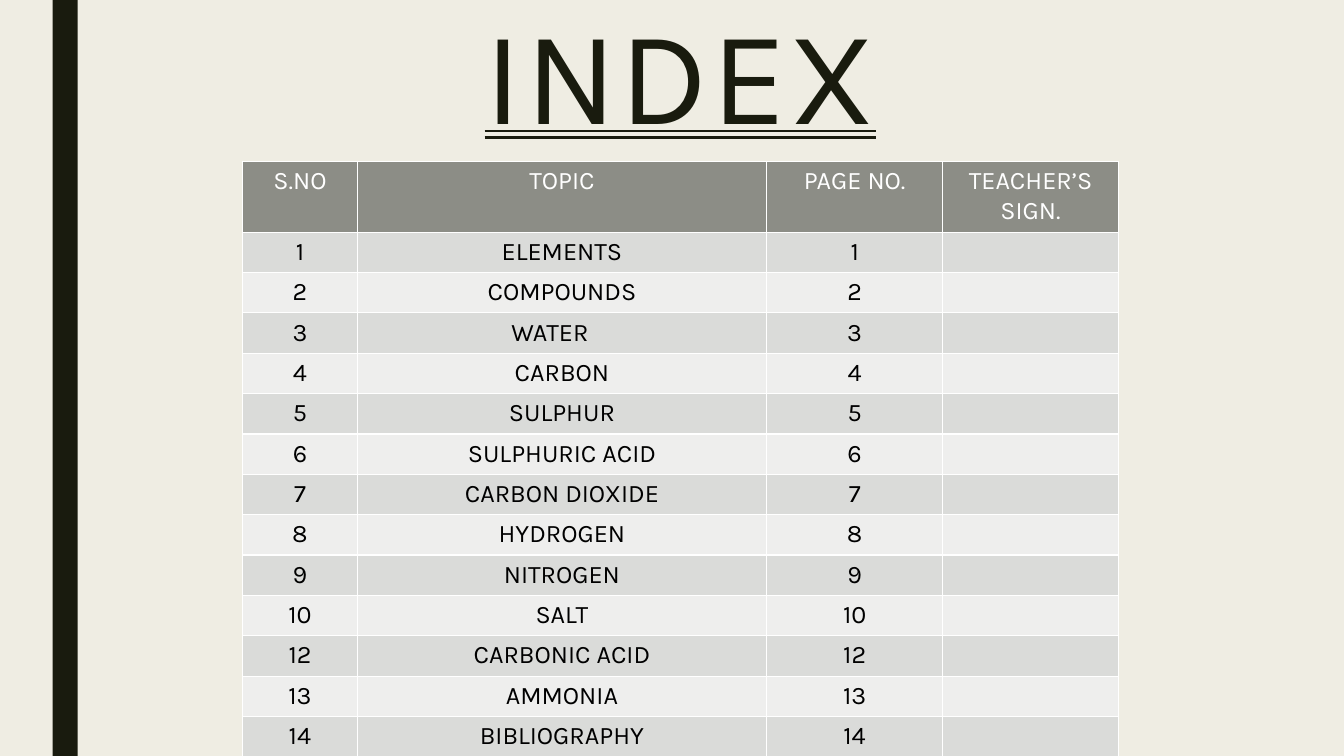
from dataclasses import dataclass

from lxml.etree import SubElement
from pptx import Presentation
from pptx.dml.color import RGBColor
from pptx.enum.shapes import MSO_SHAPE as Shape
from pptx.enum.text import MSO_ANCHOR as Anchor, MSO_UNDERLINE as Underline, PP_ALIGN as Align
from pptx.oxml.ns import qn
from pptx.util import Pt

COLOURS = {
    "paper": "EFEDE3", "ink": "191B0E", "header": "8C8D86", "odd": "DADBD9",
    "even": "EEEEED", "white": "FFFFFF", "black": "000000",
}
FONT = "Karla"


@dataclass
class Entry:
    number: str
    topic: str
    indent: float = 0  # above zero: topic is set left at this distance


HEADINGS = ["S.NO", "TOPIC", "PAGE NO.", "TEACHER’S SIGN."]
ENTRIES = [
    Entry("1", "ELEMENTS"), Entry("2", "COMPOUNDS"), Entry("3", "WATER", 110),
    Entry("4", "CARBON"), Entry("5", "SULPHUR"), Entry("6", "SULPHURIC ACID"),
    Entry("7", "CARBON DIOXIDE"), Entry("8", "HYDROGEN"), Entry("9", "NITROGEN"),
    Entry("10", "SALT"), Entry("12", "CARBONIC ACID"), Entry("13", "AMMONIA"),
    Entry("14", "BIBLIOGRAPHY"),
]
COLUMN_WIDTHS = [81.9, 292.4, 125.8, 125.6]
HEADER_HEIGHT, ROW_HEIGHT = 49.3, 28.35


def colour(name: str) -> RGBColor:
    return RGBColor.from_string(COLOURS[name])


def write(frame, text: str, *, size: float = 18, ink: str = "black", align=Align.CENTER,
          underline=None, line_spacing: float | None = None, tracking: int = 0) -> None:
    para = frame.paragraphs[0]
    para.alignment = align
    para.line_spacing = line_spacing
    span = para.add_run()
    span.text = text
    span.font.name, span.font.size = FONT, Pt(size)
    span.font.color.rgb = colour(ink)
    span.font.underline = underline
    if tracking:
        span.font._element.set("spc", str(tracking))


def style_cell(cell, fill: str) -> None:
    properties = cell._tc.get_or_add_tcPr()
    for side in ("a:lnL", "a:lnR", "a:lnT", "a:lnB"):
        border = SubElement(properties, qn(side), w=str(Pt(1)))
        solid = SubElement(border, qn("a:solidFill"))
        SubElement(solid, qn("a:srgbClr"), val=COLOURS["white"])
    cell.fill.solid()
    cell.fill.fore_color.rgb = colour(fill)


# Page and background
deck = Presentation()
deck.slide_width, deck.slide_height = Pt(960), Pt(540)
page = deck.slides.add_slide(deck.slide_layouts[6])
page.background.fill.solid()
page.background.fill.fore_color.rgb = colour("paper")

# Side bar
bar = page.shapes.add_shape(Shape.RECTANGLE, Pt(37.5), Pt(0), Pt(18), Pt(540))
bar.shadow.inherit = False
bar.fill.solid()
bar.fill.fore_color.rgb = colour("ink")
bar.line.fill.background()

# Title
title = page.shapes.add_textbox(Pt(108), Pt(0), Pt(756), Pt(116.6)).text_frame
title.word_wrap = True
title.vertical_anchor = Anchor.MIDDLE
write(title, "INDEX", size=96, ink="ink", underline=Underline.DOUBLE_LINE,
      line_spacing=0.89, tracking=200)

# Index table
table = page.shapes.add_table(
    len(ENTRIES) + 1, len(HEADINGS), Pt(173.3), Pt(115.4), Pt(sum(COLUMN_WIDTHS)),
    Pt(HEADER_HEIGHT + ROW_HEIGHT * len(ENTRIES))).table
for column, width in zip(table.columns, COLUMN_WIDTHS):
    column.width = Pt(width)
for row in table.rows:
    row.height = Pt(ROW_HEIGHT)
table.rows[0].height = Pt(HEADER_HEIGHT)

for cell, heading in zip(table.rows[0].cells, HEADINGS):
    style_cell(cell, "header")
    write(cell.text_frame, heading, ink="white")

for index, entry in enumerate(ENTRIES, start=1):
    cells = list(table.rows[index].cells)
    for cell in cells:
        style_cell(cell, "odd" if index % 2 else "even")
    for cell, text in zip(cells, (entry.number, entry.topic, entry.number)):
        write(cell.text_frame, text,
              align=Align.LEFT if text == entry.topic and entry.indent else Align.CENTER)
    if entry.indent:
        cells[1].margin_left = Pt(entry.indent)

deck.save("out.pptx")
